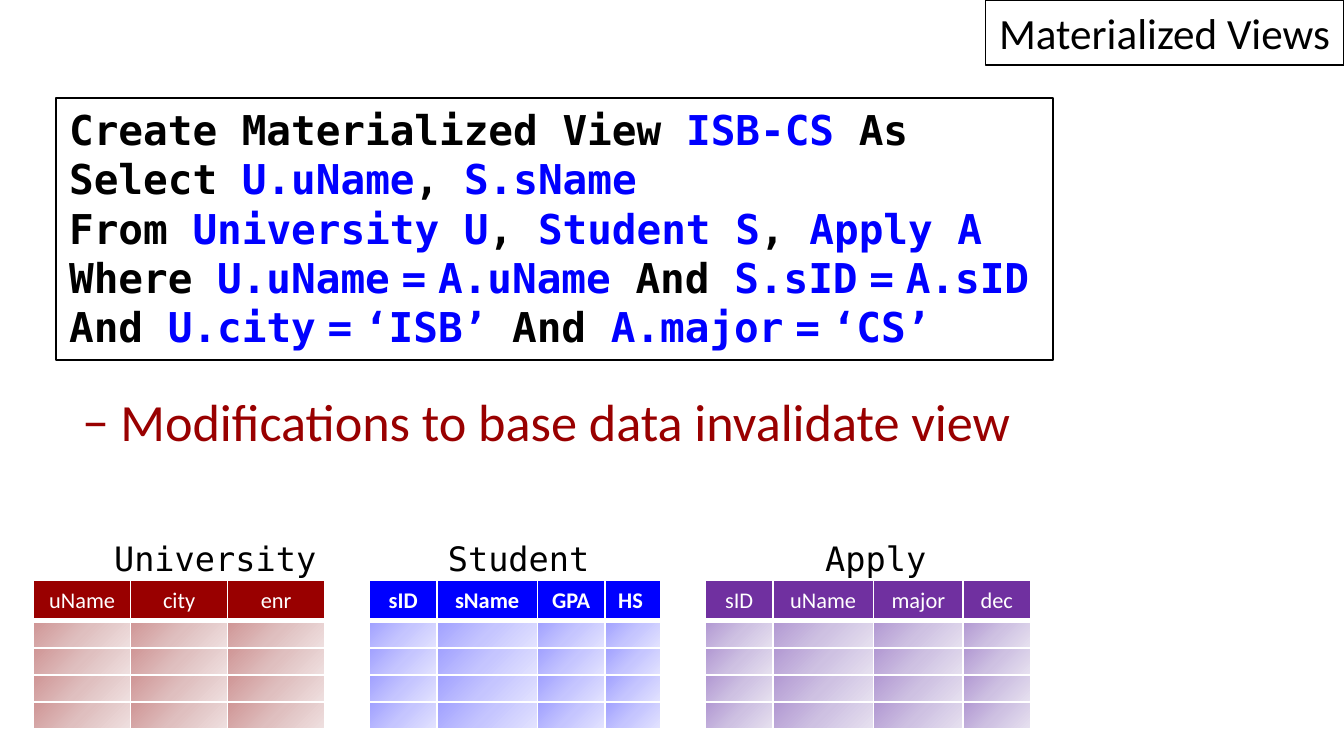
from lxml import etree
from pptx import Presentation
from pptx.dml.color import RGBColor
from pptx.enum.shapes import MSO_SHAPE
from pptx.enum.text import MSO_ANCHOR, MSO_AUTO_SIZE, PP_ALIGN
from pptx.oxml.ns import qn
from pptx.util import Inches, Pt

RECT = MSO_SHAPE.RECTANGLE
MIDDLE, TOP = MSO_ANCHOR.MIDDLE, MSO_ANCHOR.TOP
LEFT, CENTER = PP_ALIGN.LEFT, PP_ALIGN.CENTER
NO_FIT = MSO_AUTO_SIZE.NONE

COLORS = {"black": "000000", "white": "FFFFFF", "blue": "0000FF",
          "red": "990000", "purple": "7030A0"}
TINTS = {"red": ("CF9595", "DFBFBF", "EFE0E0"),
         "blue": ("A0A0FF", "C5C5FF", "E3E3FF"),
         "purple": ("B197D2", "CEC1E2", "E7E1F0")}
SANS, MONO = "Calibri", "DejaVu Sans Mono"

# Text between bars is an identifier or condition, shown in blue.
QUERY = ["Create Materialized View |ISB-CS| As",
         "Select |U.uName|, |S.sName",
         "From| University U|,| Student S|,| Apply A",
         "Where |U.uName = A.uName |And |S.sID = A.sID",
         "And |U.city = ‘ISB’ |And |A.major = ‘CS’"]

# name, label column, label width, table column, colour, bold, header -> width
RELATIONS = [
    ("University", 9, 20.8, 3, "red", False,
     {"uName": 26 / 3, "city": 26 / 3, "enr": 26 / 3}),
    ("Student", 38.8, 15.2, 33, "blue", True,
     {"sID": 6, "sName": 9, "GPA": 6, "HS": 5}),
    ("Apply", 72.5, 11.5, 63, "purple", False,
     {"sID": 6, "uName": 9, "major": 8, "dec": 6}),
]


def grid(n):
    """Turn grid units, twelve to the inch, into a length."""
    return Inches(n / 12)


def rgb(name):
    """Look up a palette colour."""
    return RGBColor.from_string(COLORS[name])


def solid(parent, color):
    """Add a solid fill in a hex colour to an XML element."""
    fill = etree.SubElement(parent, qn("a:solidFill"))
    etree.SubElement(fill, qn("a:srgbClr"), val=color)


class Deck:
    """Holds the style and the slide being built."""

    def __init__(self, prs):
        """Start a blank slide."""
        self.s = prs.slides.add_slide(prs.slide_layouts[6])

    def style(self, r, size, font=SANS, color="black", bold=False):
        """Format one run."""
        r.font.size, r.font.name, r.font.bold = Pt(size), font, bold
        r.font.color.rgb = rgb(color)

    def text(self, box, text, size, font=SANS, color="black", wrap=True):
        """Add a one-line text box and return its paragraph."""
        tf = self.s.shapes.add_textbox(*map(grid, box)).text_frame
        tf.word_wrap = wrap
        p = tf.paragraphs[0]
        p.text = text
        self.style(p.runs[0], size, font, color)
        return p

    def frame(self, box, line, anchor):
        """Add an outlined rectangle and return its text frame."""
        sp = self.s.shapes.add_shape(RECT, *map(grid, box))
        sp.shadow.inherit = False
        sp.fill.background()
        sp.line.color.rgb, sp.line.width = rgb("black"), Pt(line)
        tf = sp.text_frame
        tf.word_wrap, tf.auto_size, tf.vertical_anchor = True, NO_FIT, anchor
        return tf

    def code(self, box, lines, size=22, gap=10.5):
        """Add a framed query with narrow spaces around equal signs."""
        tf = self.frame(box, 1, TOP)
        for i, line in enumerate(lines):
            p = tf.add_paragraph() if i else tf.paragraphs[0]
            p.alignment = LEFT
            for j, part in enumerate(line.split("|")):
                color = "blue" if j % 2 else "black"
                for k, side in enumerate(part.split(" = ")):
                    for piece in ((" ", "=", " ") if k else ()) + (side,):
                        r = p.add_run()
                        r.text = piece
                        self.style(r, gap if piece == " " else size,
                                   MONO, color, True)

    def cell(self, cell, color, header):
        """Give a cell white borders and a plain or graded fill."""
        tcPr = cell._tc.get_or_add_tcPr()
        for side in "LRTB":
            width = Pt(3 if header and side == "B" else 1)
            ln = etree.SubElement(tcPr, qn("a:ln" + side), w=str(int(width)))
            solid(ln, COLORS["white"])
        if header:
            solid(tcPr, COLORS[color])
            return
        grad = etree.SubElement(tcPr, qn("a:gradFill"), rotWithShape="1")
        stops = etree.SubElement(grad, qn("a:gsLst"))
        for i, tint in enumerate(TINTS[color]):
            gs = etree.SubElement(stops, qn("a:gs"), pos=str(i * 50000))
            etree.SubElement(gs, qn("a:srgbClr"), val=tint)
        etree.SubElement(grad, qn("a:lin"), ang="2700000", scaled="0")
        # A small font keeps the empty row at its set height.
        p = cell.text_frame.paragraphs[0]
        etree.SubElement(p._p, qn("a:endParaRPr"), sz="600")

    def table(self, col, row, columns, color, bold, empty_rows=4):
        """Add a table with a header and empty rows."""
        heights = [3.6] + [2.4] * empty_rows
        box = col, row, sum(columns.values()), sum(heights)
        t = self.s.shapes.add_table(len(heights), len(columns),
                                    *map(grid, box)).table
        t.horz_banding = False
        for y, height in enumerate(heights):
            t.rows[y].height = grid(height)
            for x, (name, width) in enumerate(columns.items()):
                t.columns[x].width = grid(width)
                self.cell(t.cell(y, x), color, y == 0)
                if y == 0:
                    p = t.cell(y, x).text_frame.paragraphs[0]
                    p.text = name
                    p.alignment = LEFT if name == "HS" else CENTER
                    self.style(p.runs[0], 12, color="white", bold=bold)


def main():
    """Build and save the slide."""
    prs = Presentation()
    prs.slide_width, prs.slide_height = grid(120), grid(67.5)
    deck = Deck(prs)

    p = deck.text((5, 34.8, 92, 8), "− Modifications to base data "
                  "invalidate view", 28, color="red")
    p.line_spacing, p.space_after = 0.9, Pt(6)
    pPr = p._p.get_or_add_pPr()
    pPr.set("marL", str(Inches(0.3)))
    pPr.set("indent", str(Inches(-0.2)))

    p = deck.frame((88, 0, 32, 5.8), 0.75, MIDDLE).paragraphs[0]
    p.text, p.alignment = "Materialized Views", CENTER
    deck.style(p.runs[0], 23.1)

    deck.code((5, 8.75, 89, 23.4), QUERY)
    for name, label, width, col, color, bold, columns in RELATIONS:
        deck.table(col, 51.84, columns, color, bold)
        deck.text((label, 47.4, width, 4.8), name, 18, MONO, wrap=False)
    prs.save("out.pptx")


main()
